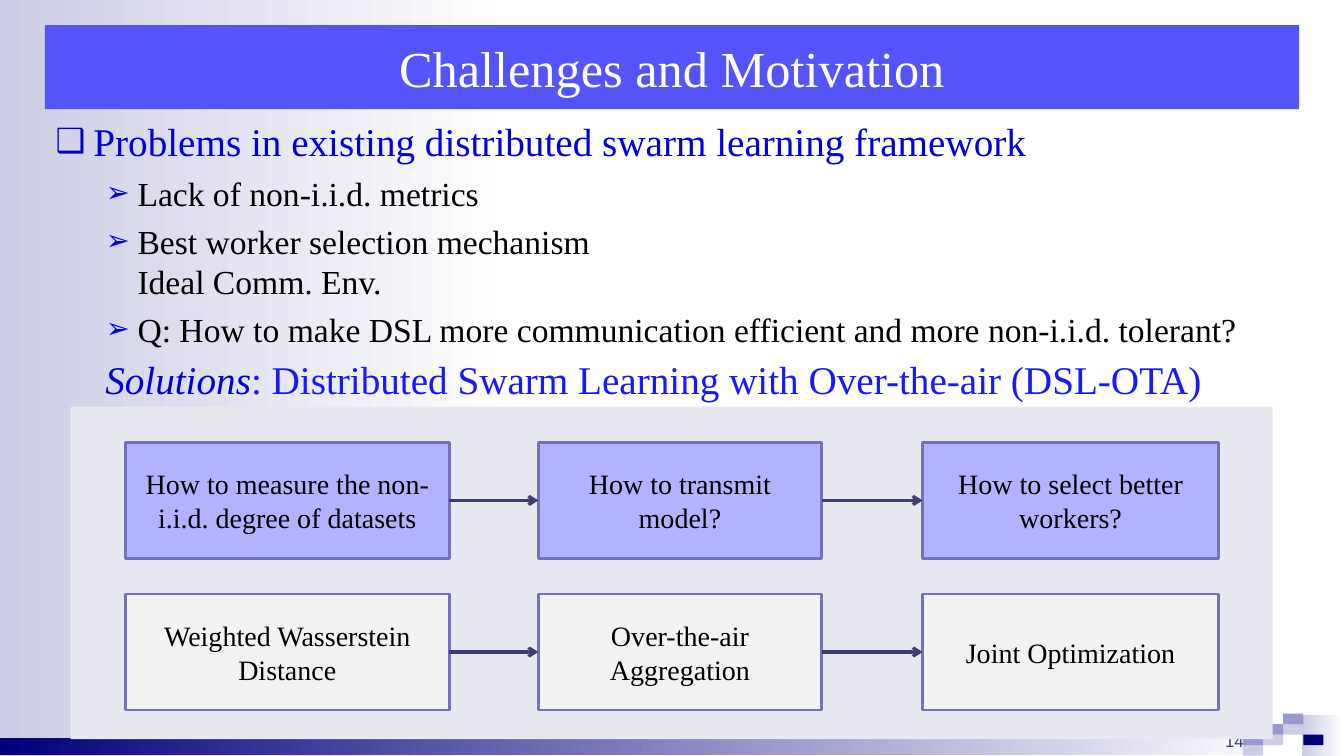
from dataclasses import dataclass
from itertools import pairwise

from lxml.etree import SubElement as add_node
from pptx import Presentation as Deck
from pptx.dml.color import RGBColor as Color
from pptx.enum.shapes import MSO_CONNECTOR as Link, MSO_SHAPE as Form
from pptx.enum.text import MSO_ANCHOR as Anchor, MSO_AUTO_SIZE as Fit, PP_ALIGN as Align
from pptx.oxml.ns import qn
from pptx.util import Pt

SERIF = "Times New Roman"


@dataclass
class Area:
    left: float
    top: float
    width: float
    height: float

    def points(self) -> tuple:
        return Pt(self.left), Pt(self.top), Pt(self.width), Pt(self.height)


@dataclass
class Level:
    mark: str
    tint: str
    size: float
    ink: str
    margin: float
    hang: float


@dataclass
class Row:
    top: float
    fill: str
    labels: tuple


HEAD = Level("❑", "0000CC", 28, "0000DA", 27, 27)
POINT = Level("➢", "0000E4", 24, "000000", 58.5, 22.5)

ITEMS = (
    (HEAD, "Problems in existing distributed swarm learning framework"),
    (POINT, "Lack of non-i.i.d. metrics"),
    (POINT, "Best worker selection mechanism\vIdeal Comm. Env."),
    (POINT, "Q: How to make DSL more communication efficient and more non-i.i.d. tolerant?"),
)

FADES = (
    (Area(0, 0, 368, 540), "CCCCE6"),
    (Area(930.2, 510.5, 30, 29.5), "CCCCE6"),
    (Area(0, 527, 916.5, 12.5), "00007D"),
)

TILES = (
    (1, 2, "CCCCE6"), (0, 3, "CCCCE6"), (0, 2, "9999CC"), (2, 1, "CCCCE6"),
    (3, 2, "00007D"), (1, 1, "9999CC"), (2, 0, "9999CC"),
)

COLUMNS = ((89.5, 231.5), (384.5, 202.5), (659, 211.5))
ROWS = (
    Row(316, "B2B2FF", (
        "How to measure the non-i.i.d. degree of datasets",
        "How to transmit model?",
        "How to select better workers?",
    )),
    Row(424.25, "F2F2F2", (
        "Weighted Wasserstein Distance",
        "Over-the-air Aggregation",
        "Joint Optimization",
    )),
)


def paint(target, ink: str) -> None:
    target.solid()
    target.fore_color.rgb = Color.from_string(ink)


def place(shape, area: Area) -> None:
    shape.left, shape.top, shape.width, shape.height = area.points()


def style(para, size: float, ink: str, face: str = SERIF) -> None:
    para.font.size = Pt(size)
    para.font.name = face
    paint(para.font.fill, ink)


def block(shapes, area: Area, fill: str):
    shape = shapes.add_shape(Form.RECTANGLE, *area.points())
    shape.shadow.inherit = False
    paint(shape.fill, fill)
    shape.line.fill.background()
    return shape


def fade(shapes, area: Area, start: str) -> None:
    fill = block(shapes, area, start).fill
    fill.gradient()
    fill.gradient_angle = 0
    for stop, ink in zip(fill.gradient_stops, (start, "FFFFFF")):
        stop.color.rgb = Color.from_string(ink)


def label(shapes, area: Area, text: str, fill: str):
    shape = block(shapes, area, fill)
    paint(shape.line.fill, "7171BD")
    shape.line.width = Pt(2)
    frame = shape.text_frame
    frame.word_wrap = True
    frame.vertical_anchor = Anchor.MIDDLE
    para = frame.paragraphs[0]
    para.text = text
    para.alignment = Align.CENTER
    style(para, 20, "000000")
    return shape


def arrow(shapes, start, end) -> None:
    line = shapes.add_connector(Link.STRAIGHT, 0, 0, 0, 0)
    line.begin_connect(start, 3)
    line.end_connect(end, 1)
    paint(line.line.fill, "3C3C77")
    line.line.width = Pt(2.25)
    props = line.element.spPr
    add_node(props.find(qn("a:ln")), qn("a:tailEnd"), type="arrow")
    add_node(props, qn("a:effectLst"))


def bullet(para, level: Level) -> None:
    props = para._p.get_or_add_pPr()
    props.set("marL", str(Pt(level.margin)))
    props.set("indent", str(-Pt(level.hang)))
    tint = add_node(props, qn("a:buClr"))
    add_node(tint, qn("a:srgbClr"), val=level.tint)
    add_node(props, qn("a:buSzPct"), val="85000")
    add_node(props, qn("a:buChar"), char=level.mark)


def fill_list(body) -> None:
    place(body, Area(32.5, 80.5, 864, 171))
    frame = body.text_frame
    frame.auto_size = Fit.NONE
    frame.word_wrap = True
    for index, (level, text) in enumerate(ITEMS):
        para = frame.add_paragraph() if index else frame.paragraphs[0]
        para.text = text
        para.level = int(level is POINT)
        bullet(para, level)
        para.space_before = Pt(5.5 if index else 0)
        style(para, level.size, level.ink)


def fill_title(title) -> None:
    place(title, Area(32, 18, 896, 60))
    paint(title.fill, "5354F9")
    frame = title.text_frame
    frame.vertical_anchor = Anchor.MIDDLE
    frame.auto_size = Fit.NONE
    para = frame.paragraphs[0]
    para.text = "Challenges and Motivation"
    para.alignment = Align.CENTER
    style(para, 36, "FFFFFF")


def note(shapes, area: Area, align: Align):
    frame = shapes.add_textbox(*area.points()).text_frame
    frame.word_wrap = True
    frame.paragraphs[0].alignment = align
    return frame


def main() -> None:
    deck = Deck()
    deck.slide_width, deck.slide_height = Pt(960), Pt(540)
    shapes = deck.slides.add_slide(deck.slide_layouts[1]).shapes
    title, body = shapes.placeholders

    for area, start in FADES:
        fade(shapes, area, start)
    for col, row, ink in TILES:
        block(shapes, Area(887.8 + 14.4 * col, 509.8 + 7.5 * row, 14.4, 7.5), ink)

    for holder in (title, body):
        shapes.element.append(holder.element)
    fill_title(title)
    fill_list(body)

    frame = note(shapes, Area(672, 504, 223.5, 36), Align.RIGHT)
    frame.vertical_anchor = Anchor.BOTTOM
    frame.paragraphs[0].text = "14"
    style(frame.paragraphs[0], 12, "3B3B77", "Arial")

    block(shapes, Area(50.5, 290.5, 858.5, 237.5), "E8E8F1")
    for row in ROWS:
        cells = [
            label(shapes, Area(left, row.top, width, 83), text, row.fill)
            for (left, width), text in zip(COLUMNS, row.labels)
        ]
        for start, end in pairwise(cells):
            arrow(shapes, start, end)

    para = note(shapes, Area(31.5, 250.5, 870.5, 41), Align.CENTER).paragraphs[0]
    para.font.size, para.font.name = Pt(28), SERIF
    for text, ink, slant in (
        ("Solutions", "0000DA", True),
        (": Distributed Swarm Learning with Over-the-air (DSL-OTA)", "1818FF", False),
    ):
        run = para.add_run()
        run.text = text
        run.font.italic = slant
        paint(run.font.fill, ink)

    deck.save("out.pptx")


if __name__ == "__main__":
    main()
